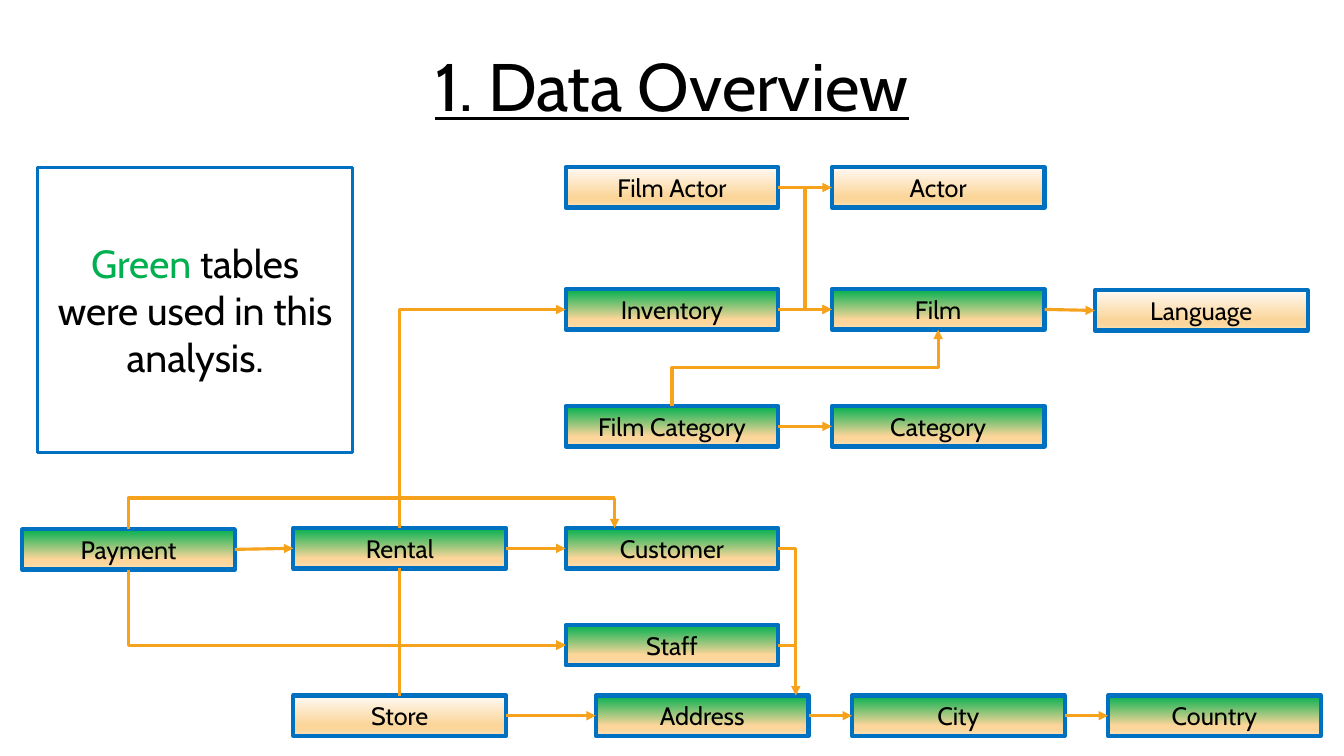
from copy import deepcopy

from pptx import Presentation
from pptx.dml.color import RGBColor
from pptx.enum import shapes as kinds, text as txt
from pptx.oxml import ns, xmlchemy as xc
from pptx.util import Pt

PX = 9144  # 100 px to the inch
FONT = "Cabin"
BLACK = RGBColor(0x00, 0x00, 0x00)
WHITE = RGBColor(0xFF, 0xFF, 0xFF)
GREEN = RGBColor(0x00, 0xB0, 0x50)
CREAM = RGBColor(0xFF, 0xFA, 0xF4)
SAND = RGBColor(0xFB, 0xD5, 0x99)
PALE = RGBColor(0xFC, 0xE3, 0xBB)
BLUE = RGBColor(0x00, 0x70, 0xC0)
AMBER = RGBColor(0xF6, 0xA2, 0x1D)

BOX_W, BOX_H = 211, 40
LEFT, RIGHT = 1, 3  # connection sites of a rectangle

# name: (left, top, used in the analysis), from the diagram's corner
TABLES = {
    "Payment": (0, 359, True),
    "Rental": (269, 358, True),
    "Customer": (539, 358, True),
    "Staff": (539, 454, True),
    "Store": (269, 524, False),
    "Address": (569, 524, True),
    "City": (823, 524, True),
    "Country": (1077, 524, True),
    "Film Category": (539, 237, True),
    "Category": (803, 237, True),
    "Inventory": (539, 121, True),
    "Film": (803, 121, True),
    "Language": (1064, 122, False),
    "Film Actor": (539, 0, False),
    "Actor": (803, 0, False),
}
# each runs from a right side to a left side
STRAIGHT = [
    ("Payment", "Rental"), ("Rental", "Customer"), ("Store", "Address"),
    ("Address", "City"), ("City", "Country"), ("Film Category", "Category"),
    ("Inventory", "Film"), ("Film", "Language"), ("Film Actor", "Actor"),
]


def add_run(para, words, size, color):
    run = para.add_run()
    run.text = words
    font = run.font
    font.name, font.size, font.color.rgb = FONT, Pt(size), color
    return run


def place(shape, x, y, w, h):
    shape.left, shape.top = x * PX, y * PX
    shape.width, shape.height = w * PX, h * PX


def add_rect(slide, x, y, w, h, weight):
    """Blue-edged rectangle; gives it with its centred paragraph."""
    box = slide.shapes.add_shape(kinds.MSO_SHAPE.RECTANGLE, 0, 0, 0, 0)
    place(box, x, y, w, h)
    box.shadow.inherit = False
    box.line.color.rgb, box.line.width = BLUE, Pt(weight)
    frame = box.text_frame
    frame.word_wrap = True
    frame.vertical_anchor = txt.MSO_ANCHOR.MIDDLE
    para = frame.paragraphs[0]
    para.alignment = txt.PP_ALIGN.CENTER
    return box, para


def shade(fill, top):
    """Four-stop gradient running down from the top colour."""
    fill.gradient()
    fill.gradient_angle = 270
    stops = fill.gradient_stops
    first = next(fill._xPr.iter(ns.qn("a:gs")))
    for _ in range(4 - len(stops)):
        first.addnext(deepcopy(first))
    for stop, (pos, color) in zip(
        fill.gradient_stops,
        [(0, top), (0.74, SAND), (0.83, SAND), (1, PALE)],
    ):
        stop.position, stop.color.rgb = pos, color


def add_table_box(slide, name, x, y, used):
    box, para = add_rect(slide, x, y, BOX_W, BOX_H, 3)
    shade(box.fill, GREEN if used else CREAM)
    add_run(para, name, 18, BLACK)
    return box


def add_line(slide, kind, start, end, arrow=True):
    ends = [round(v * PX) for v in (*start, *end)]
    line = slide.shapes.add_connector(kind, *ends)
    line.line.color.rgb, line.line.width = AMBER, Pt(2.25)
    props = line.element.spPr
    if arrow:
        tail = xc.OxmlElement("a:tailEnd")
        tail.set("type", "triangle")
        props.find(ns.qn("a:ln")).append(tail)
    props.append(xc.OxmlElement("a:effectLst"))
    return line


def add_bend(slide, start, end, turns=1, upright=True, arrow=True):
    """Elbow with one or two turns; an upright one sets off vertically."""
    if upright:
        (x1, y1), (x2, y2) = start, end
        mx, my = (x1 + x2) / 2, (y1 + y2) / 2
        dx, dy = (x2 - x1) / 2, (y2 - y1) / 2
        start, end = (mx + dy, my - dx), (mx - dy, my + dx)
    line = add_line(slide, kinds.MSO_CONNECTOR.ELBOW, start, end, arrow)
    props = line.element.spPr
    if upright:
        props.find(ns.qn("a:xfrm")).set("rot", str(270 * 60000))
    props.find(ns.qn("a:prstGeom")).set("prst", f"bentConnector{turns + 1}")


def add_title(slide, x, y, w, h):
    title = slide.shapes.title
    place(title, x, y, w, h)
    frame = title.text_frame
    frame.margin_left = frame.margin_right = 0
    frame.margin_top = frame.margin_bottom = 0
    frame.vertical_anchor = txt.MSO_ANCHOR.TOP
    para = frame.paragraphs[0]
    para.alignment, para.line_spacing = txt.PP_ALIGN.CENTER, 1.5
    add_run(para, "1. Data Overview", 48, BLACK).font.underline = True


def add_legend(slide, x, y, w, h):
    box, para = add_rect(slide, x, y, w, h, 2)
    box.fill.solid()
    box.fill.fore_color.rgb = WHITE
    para.space_before = Pt(10)
    add_run(para, "Green ", 28, GREEN)
    add_run(para, "tables were used in this analysis.", 28, BLACK)


def add_schema(slide, x, y):
    """Tables and the links between them."""
    boxes = {
        name: add_table_box(slide, name, x + dx, y + dy, used)
        for name, (dx, dy, used) in TABLES.items()
    }

    def spot(name, across, down):
        """Point at a share of the table's width and height."""
        dx, dy, _ = TABLES[name]
        return x + dx + across * BOX_W, y + dy + down * BOX_H

    def top(name):
        return spot(name, 0.5, 0)

    def foot(name):
        return spot(name, 0.5, 1)

    def left(name):
        return spot(name, 0, 0.5)

    def right(name):
        return spot(name, 1, 0.5)

    straight = kinds.MSO_CONNECTOR.STRAIGHT
    for src, dest in STRAIGHT:
        line = add_line(slide, straight, right(src), left(dest))
        line.begin_connect(boxes[src], RIGHT)
        line.end_connect(boxes[dest], LEFT)

    for start, dest in [
        (foot("Payment"), "Staff"), (foot("Rental"), "Staff"),
        (top("Store"), "Staff"), (top("Rental"), "Inventory"),
    ]:
        add_bend(slide, start, left(dest))
    add_bend(slide, top("Film Category"), foot("Film"), turns=2)
    add_bend(slide, right("Film Actor"), left("Film"), turns=2, upright=False)

    entry = spot("Customer", 0.23, 0)
    corner = entry[0], entry[1] - 30
    add_bend(slide, top("Payment"), corner, arrow=False)
    add_line(slide, straight, corner, entry)

    drop = spot("Address", 0.94, 0)
    add_bend(slide, right("Staff"), drop, upright=False)
    add_bend(slide, right("Customer"), (drop[0], drop[1] - 44),
             upright=False, arrow=False)


def main():
    deck = Presentation()
    deck.slide_width, deck.slide_height = 1333 * PX, 750 * PX
    slide = deck.slides.add_slide(deck.slide_layouts[5])
    add_title(slide, 191, 4, 951, 118)
    add_schema(slide, 22, 166)
    add_legend(slide, 37, 166, 313, 283)
    deck.save("out.pptx")


if __name__ == "__main__":
    main()
